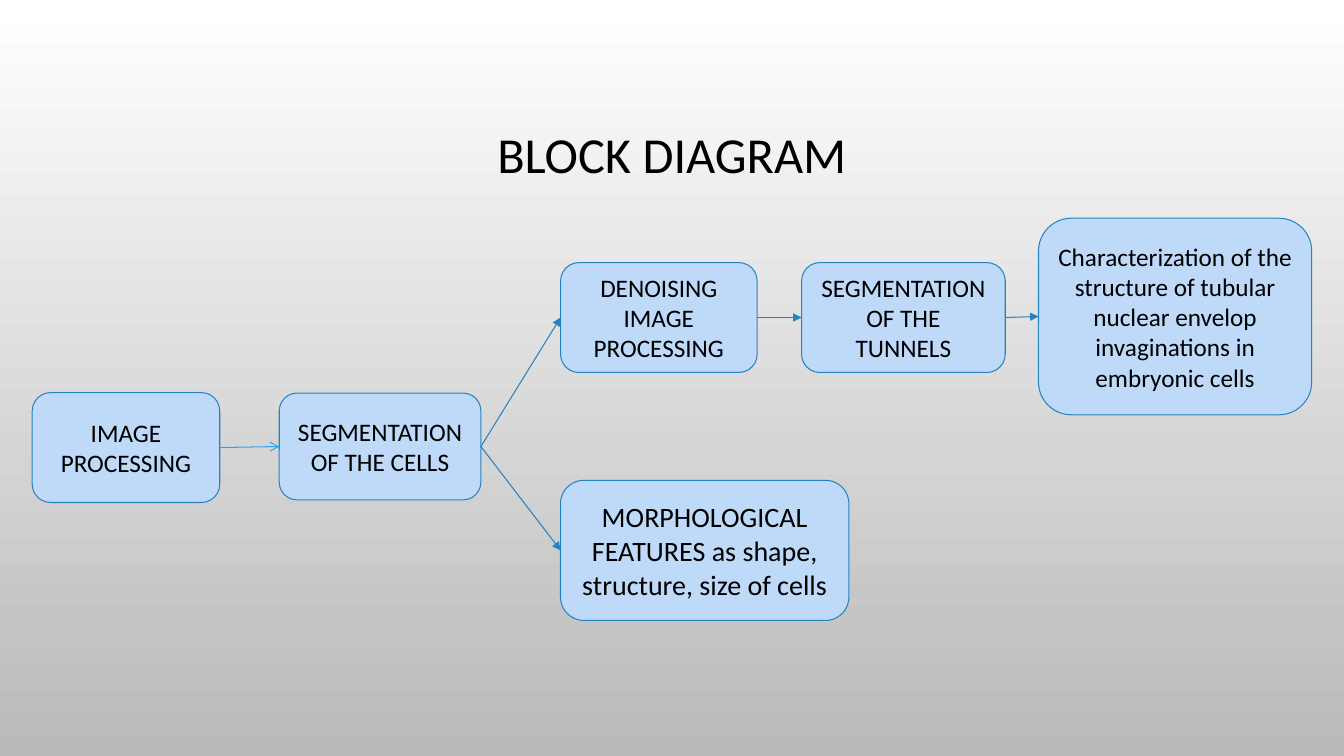
from lxml import etree
from pptx import Presentation
from pptx import util as u
from pptx.dml.color import RGBColor
from pptx.enum import shapes, text
from pptx.oxml import ns

WIDTH, HEIGHT = 13.33, 7.5
FONT = "Calibri"
BLACK, BLUE, BRIGHT_BLUE, PALE_BLUE = "000000", "2683BF", "2FA3EE", "BFDAF9"
LEFT_SITE, RIGHT_SITE = 1, 3

TITLE_BOX = (1, 0.68, 11.33, 1.75)
# Centre lines of the three rows of the diagram
UPPER, MIDDLE, LOWER = 3.15, 4.44, 5.46
# name: (left, row centre, width, height, size, text)
BLOCKS = {
    "processing": (0.32, MIDDLE, 1.86, 1.09, 18, "IMAGE PROCESSING"),
    "cells": (2.77, MIDDLE - 0.01, 2, 1.06, 18, "SEGMENTATION OF THE CELLS"),
    "denoising": (5.56, UPPER, 1.95, 1.09, 18, "DENOISING\nIMAGE PROCESSING"),
    "features": (5.56, LOWER, 2.86, 1.39, 20,
                 "MORPHOLOGICAL FEATURES as shape, structure, size of cells"),
    "tunnels": (7.95, UPPER, 2.02, 1.09, 18, "SEGMENTATION OF THE TUNNELS"),
    "structure": (10.3, UPPER - 0.01, 2.71, 1.95, 18,
                  "Characterization of the structure of tubular nuclear envelop "
                  "invaginations in embryonic cells"),
}
# (from, to, colour, arrowhead)
ARROWS = [
    ("processing", "cells", BRIGHT_BLUE, "arrow"),
    ("cells", "denoising", BLUE, "triangle"),
    ("cells", "features", BLUE, "triangle"),
    ("denoising", "tunnels", BLUE, "triangle"),
    ("tunnels", "structure", BLUE, "triangle"),
]


def rgb(value):
    return RGBColor.from_string(value)


def write(sp, content, size, color=BLACK, spacing=None):
    """Put centred text in a shape, one paragraph per line of content."""
    tf = sp.text_frame
    tf.word_wrap = True
    tf.vertical_anchor = text.MSO_ANCHOR.MIDDLE
    tf.text = content
    for p in tf.paragraphs:
        p.alignment = text.PP_ALIGN.CENTER
        p.line_spacing = spacing
        for r in p.runs:
            r.font.name = FONT
            r.font.size = u.Pt(size)
            r.font.color.rgb = rgb(color)


def paint_background(s):
    fill = s.background.fill
    fill.gradient()
    fill.gradient_angle = 270
    for stop, color in zip(fill.gradient_stops, ("FFFFFF", "B9B9B9")):
        stop.color.rgb = rgb(color)


def add_title(s, box, content):
    sp = s.shapes.add_textbox(*map(u.Inches, box))
    write(sp, content, 36, spacing=0.9)


def add_block(s, left, center, width, height, size, content):
    box = (left, center - height / 2, width, height)
    sp = s.shapes.add_shape(shapes.MSO_SHAPE.ROUNDED_RECTANGLE, *map(u.Inches, box))
    sp.shadow.inherit = False
    sp.fill.solid()
    sp.fill.fore_color.rgb = rgb(PALE_BLUE)
    sp.line.color.rgb = rgb(BLUE)
    sp.line.width = u.Pt(0.75)
    write(sp, content, size)
    return sp


def add_arrow(s, start, end, color, head):
    """Link the right side of one block to the left side of another."""
    line = s.shapes.add_connector(shapes.MSO_CONNECTOR.STRAIGHT, 0, 0, 0, 0)
    line.begin_connect(start, RIGHT_SITE)
    line.end_connect(end, LEFT_SITE)
    line.line.color.rgb = rgb(color)
    line.line.width = u.Pt(0.75)
    sp_pr = line._element.spPr
    etree.SubElement(sp_pr.find(ns.qn("a:ln")), ns.qn("a:tailEnd"), type=head)
    etree.SubElement(sp_pr, ns.qn("a:effectLst"))


def add_diagram(s):
    blocks = {name: add_block(s, *block) for name, block in BLOCKS.items()}
    for start, end, color, head in ARROWS:
        add_arrow(s, blocks[start], blocks[end], color, head)


def main():
    prs = Presentation()
    prs.slide_width, prs.slide_height = u.Inches(WIDTH), u.Inches(HEIGHT)
    s = prs.slides.add_slide(prs.slide_layouts[6])
    paint_background(s)
    add_title(s, TITLE_BOX, "BLOCK DIAGRAM")
    add_diagram(s)
    prs.save("out.pptx")


if __name__ == "__main__":
    main()
